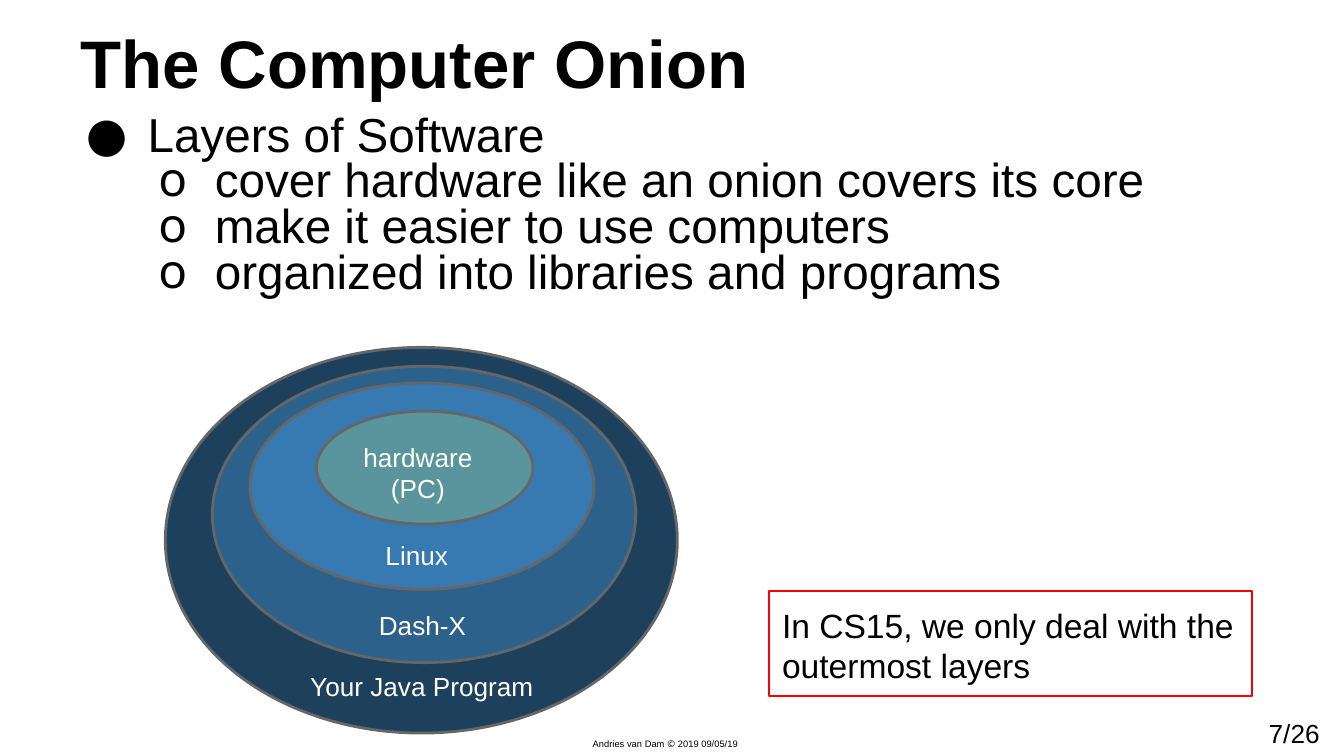
import pptx
import pptx.dml.color
import pptx.enum.shapes
import pptx.enum.text
import pptx.oxml.ns
import pptx.util
from lxml import etree

RGB = pptx.dml.color.RGBColor
ALIGN = pptx.enum.text.PP_ALIGN
ANCHOR = pptx.enum.text.MSO_ANCHOR
SHAPE = pptx.enum.shapes.MSO_SHAPE

SCALE = 4572  # EMU per px, 200 px to the inch
BLACK = RGB(0x00, 0x00, 0x00)
WHITE = RGB(0xFF, 0xFF, 0xFF)
GRAY = RGB(0x66, 0x66, 0x66)
RED = RGB(0xFF, 0x00, 0x00)
NAVY = RGB(0x1D, 0x41, 0x5D)
DENIM = RGB(0x2C, 0x61, 0x8C)
BLUE = RGB(0x37, 0x7A, 0xB1)
TEAL = RGB(0x5A, 0x94, 0x9C)


def px(count):
    return pptx.util.Emu(count * SCALE)


def write(para, text, size=14, color=BLACK, bold=False, font="Arial", align=ALIGN.LEFT):
    """Add one run to a paragraph."""
    para.alignment = align
    run = para.add_run()
    run.text = text
    run.font.name = font
    run.font.size = pptx.util.Pt(size)
    run.font.bold = bold
    run.font.color.rgb = color


def mark(para, char, left, hang):
    """Give a paragraph a black bullet and a hanging indent."""
    props = para._p.get_or_add_pPr()
    props.set("marL", str(px(left)))
    props.set("indent", str(px(-hang)))
    tag = pptx.oxml.ns.qn
    tint = etree.SubElement(props, tag("a:buClr"))
    etree.SubElement(tint, tag("a:srgbClr"), val=str(BLACK))
    etree.SubElement(props, tag("a:buSzPct"), val="100000")
    etree.SubElement(props, tag("a:buFont"), typeface="Noto Sans")
    etree.SubElement(props, tag("a:buChar"), char=char)


class Deck:
    """Holds the presentation, its style and the current slide."""

    def __init__(self, width, height):
        self.show = pptx.Presentation()
        self.show.slide_width = px(width)
        self.show.slide_height = px(height)
        self.slide = self.show.slides.add_slide(self.show.slide_layouts[5])

    def frame(self, shape, pad=20, anchor=ANCHOR.TOP, wrap=True):
        """Set up a shape's text frame and return it."""
        frame = shape.text_frame
        frame.margin_left = frame.margin_right = px(pad)
        frame.margin_top = frame.margin_bottom = px(pad)
        frame.vertical_anchor = anchor
        frame.auto_size = pptx.enum.text.MSO_AUTO_SIZE.NONE
        frame.word_wrap = wrap
        return frame

    def title(self, text, box):
        shape = self.slide.shapes.title
        shape.left, shape.top, shape.width, shape.height = map(px, box)
        frame = self.frame(shape, anchor=ANCHOR.BOTTOM)
        write(frame.paragraphs[0], text, size=36, bold=True)

    def text(self, runs, box, pad=20, wrap=True, **style):
        """Add a one-paragraph box from (text, font) runs."""
        shape = self.slide.shapes.add_textbox(*map(px, box))
        para = self.frame(shape, pad, wrap=wrap).paragraphs[0]
        for text, font in runs:
            write(para, text, font=font, **style)

    def list(self, items, box):
        """Add a bulleted list from (level, text) items."""
        frame = self.frame(self.slide.shapes.add_textbox(*map(px, box)))
        for index, (level, text) in enumerate(items):
            para = frame.add_paragraph() if index else frame.paragraphs[0]
            para.level = level
            mark(para, "●o"[level], 100 * (level + 1), 92 - 8 * level)
            para.line_spacing = 0.8
            write(para, text, size=25.5)

    def shape(self, kind, box, line, weight, fill=None):
        shape = self.slide.shapes.add_shape(kind, *map(px, box))
        shape.shadow.inherit = False
        if fill is None:
            shape.fill.background()
        else:
            shape.fill.solid()
            shape.fill.fore_color.rgb = fill
        shape.line.color.rgb = line
        shape.line.width = pptx.util.Pt(weight)
        return shape

    def note(self, text, box):
        frame = self.frame(self.shape(SHAPE.RECTANGLE, box, RED, 1))
        write(frame.paragraphs[0], text, size=18)


def main():
    deck = Deck(2000, 1125)
    deck.text([("Andries van Dam ", "Arial"), ("©", "Noto Sans"), (" 2019 09/05/19", "Arial")],
              (872, 1088, 256, 38), pad=10, wrap=False, size=5)
    deck.text([("7/26", "Arial")], (1878, 1058, 114, 68), pad=10, wrap=False)
    deck.title("The Computer Onion", (100, -16, 1800, 188))
    deck.list([
        (0, "Layers of Software"),
        (1, "cover hardware like an onion covers its core"),
        (1, "make it easier to use computers"),
        (1, "organized into libraries and programs"),
    ], (100, 152, 1800, 324))

    layers = [  # outermost first: fill, oval, label, label box
        (NAVY, (246, 517, 762, 574), "Your Java Program", (442, 978, 382, 84)),
        (DENIM, (316, 545, 630, 441), "Dash-X", (544, 887, 178, 84)),
        (BLUE, (372, 570, 512, 307), "Linux", (554, 783, 146, 84)),
        (TEAL, (471, 612, 322, 168), "hardware (PC)", (509, 637, 226, 128)),
    ]
    for fill, oval, label, box in layers:
        deck.shape(SHAPE.OVAL, oval, GRAY, 1.5, fill)
    for fill, oval, label, box in layers:
        align = ALIGN.CENTER if fill == TEAL else ALIGN.LEFT
        deck.text([(label, "Arial")], box, color=WHITE, align=align)

    deck.note("In CS15, we only deal with the outermost layers", (1144, 880, 719, 156))
    deck.show.save("out.pptx")


if __name__ == "__main__":
    main()
